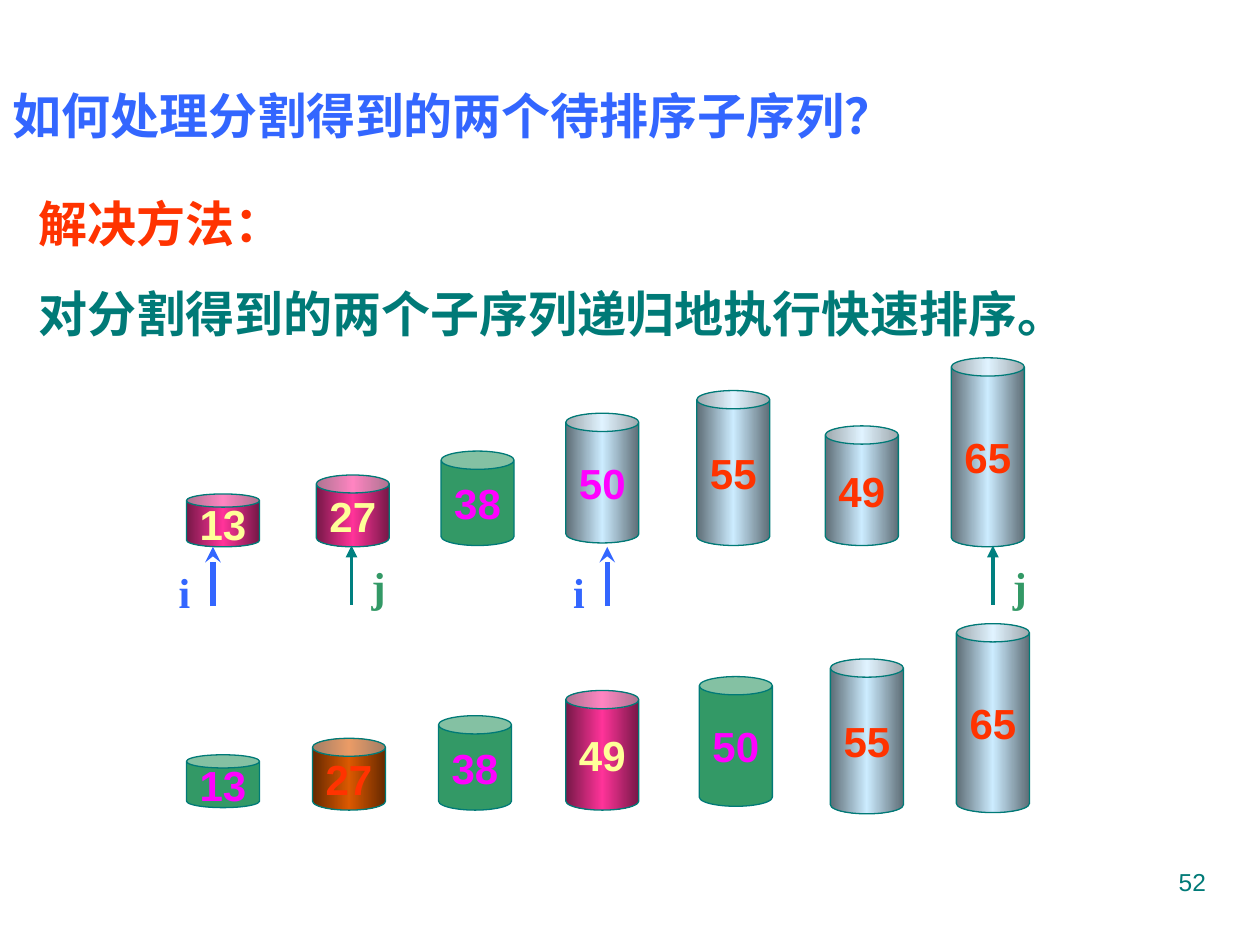
from copy import deepcopy

from pptx import Presentation
from pptx import util as u
from pptx.dml.color import RGBColor
from pptx.enum import shapes, text
from pptx.oxml.ns import qn

CJK = "Noto Sans CJK SC"
TEAL, BLUE, GREEN, RED, MAGENTA, CREAM = "007A77", "3366FF", "339966", "FF3300", "FF00FF", "FFFF99"
STEEL, PINK, ORANGE = ("5E6D76", "CCECFF"), ("761847", "FF3399"), ("662900", "DC5900")
CAN_WIDTH = 0.58
CAN_HEIGHTS = {13: 0.42, 27: 0.57, 38: 0.75, 49: 0.95, 50: 1.03, 55: 1.23, 65: 1.5}
PARTITIONED = [
    (13, 1.48, 3.92, PINK, CREAM),
    (27, 2.51, 3.77, PINK, CREAM),
    (38, 3.5, 3.58, GREEN, MAGENTA),
    (50, 4.49, 3.28, STEEL, MAGENTA),
    (55, 5.53, 3.1, STEEL, RED),
    (49, 6.55, 3.38, STEEL, RED),
    (65, 7.55, 2.84, STEEL, RED),
]
SORTED = [
    (13, 1.48, 5.99, GREEN, MAGENTA),
    (27, 2.48, 5.86, ORANGE, RED),
    (38, 3.48, 5.68, GREEN, MAGENTA),
    (49, 4.49, 5.48, PINK, CREAM),
    (50, 5.55, 5.37, GREEN, MAGENTA),
    (55, 6.59, 5.23, STEEL, RED),
    (65, 7.59, 4.95, STEEL, RED),
]


def color(value):
    """Turn a hex string into a colour."""
    return RGBColor.from_string(value)


def format_paragraph(paragraph, size, value, name="Arial", bold=True, align=text.PP_ALIGN.LEFT):
    """Format the runs of a paragraph, with exact line height for Chinese."""
    paragraph.alignment = align
    for run in paragraph.runs:
        run.font.size, run.font.bold, run.font.name = u.Pt(size), bold, name
        run.font.color.rgb = color(value)
        if name == CJK:
            paragraph.line_spacing = u.Pt(34)
            run.font._element.get_or_change_to_solidFill()
            east_asian = run.font._element.makeelement(qn("a:ea"), {"typeface": name})
            run.font._element.find(qn("a:latin")).addnext(east_asian)


def add_text(slide, left, top, width, height, lines):
    """Add a wrapping text box and return its paragraphs."""
    shape = slide.shapes.add_textbox(*map(u.Inches, (left, top, width, height)))
    shape.text_frame.word_wrap = True
    shape.text_frame.text = "\n".join(lines)
    return shape.text_frame.paragraphs


def place_title(slide, words):
    """Move, fill and format the title placeholder."""
    title = slide.shapes.title
    title.left, title.top, title.width, title.height = map(u.Inches, (0, 0.62, 9.61, 0.57))
    frame = title.text_frame
    frame.text = words
    frame.vertical_anchor = text.MSO_ANCHOR.TOP
    frame.auto_size = text.MSO_AUTO_SIZE.NONE
    format_paragraph(frame.paragraphs[0], 28, BLUE, CJK)


def fill_can(fill, style):
    """Fill with one colour, or with a dark edge and a light middle."""
    if isinstance(style, str):
        fill.solid()
        fill.fore_color.rgb = color(style)
        return
    fill.gradient()
    fill.gradient_angle = 0
    edge, middle = style
    stop_list = fill._xPr.find(qn("a:gradFill")).find(qn("a:gsLst"))
    stop_list.append(deepcopy(stop_list[0]))
    for stop, position, value in zip(fill.gradient_stops, (0, 0.5, 1), (edge, middle, edge)):
        stop.position = position
        stop.color.rgb = color(value)


def add_can(slide, number, left, top, style, text_color):
    """Add a can whose height depends on its number."""
    box = map(u.Inches, (left, top, CAN_WIDTH, CAN_HEIGHTS[number]))
    can = slide.shapes.add_shape(shapes.MSO_SHAPE.CAN, *box)
    can.shadow.inherit = False
    can.adjustments[0] = 0.25
    fill_can(can.fill, style)
    can.line.color.rgb = color(TEAL)
    can.line.width = u.Pt(0.75)
    frame = can.text_frame
    frame.word_wrap = False
    frame.vertical_anchor = text.MSO_ANCHOR.MIDDLE
    frame.text = str(number)
    format_paragraph(frame.paragraphs[0], 24, text_color, align=text.PP_ALIGN.CENTER)


def add_pointer(slide, name, x, bottom, line_color, width, head, label_left, label_top, label_color):
    """Add an upward arrow with its index name."""
    ends = map(u.Inches, (x, bottom, x, bottom - 0.47))
    arrow = slide.shapes.add_connector(shapes.MSO_CONNECTOR.STRAIGHT, *ends)
    arrow.line.color.rgb = color(line_color)
    arrow.line.width = u.Pt(width)
    line = arrow.line._get_or_add_ln()
    line.append(line.makeelement(qn("a:tailEnd"), {"type": head}))
    properties = arrow._element.spPr
    properties.append(properties.makeelement(qn("a:effectLst"), {}))
    label = add_text(slide, label_left, label_top, 0.25, 0.5, [name])[0]
    format_paragraph(label, 24, label_color, "Times New Roman")


def main():
    """Build the slide and save it."""
    presentation = Presentation()
    presentation.slide_width, presentation.slide_height = u.Inches(10), u.Inches(7.5)
    slide = presentation.slides.add_slide(presentation.slide_layouts[5])
    place_title(slide, "如何处理分割得到的两个待排序子序列？")
    lines = ["解决方法：", "对分割得到的两个子序列递归地执行快速排序。"]
    heading, answer = add_text(slide, 0.21, 1.48, 9.3, 1.28, lines)
    format_paragraph(heading, 28, RED, CJK)
    format_paragraph(answer, 28, TEAL, CJK)
    answer.space_before = u.Pt(17.5)
    for can in PARTITIONED + SORTED:
        add_can(slide, *can)
    for x in (1.69, 4.82):
        add_pointer(slide, "i", x, 4.81, BLUE, 3, "stealth", x - 0.37, 4.45, BLUE)
    for x in (2.79, 7.88):
        add_pointer(slide, "j", x, 4.8, "008080", 2.25, "triangle", x + 0.06, 4.4, GREEN)
    number = add_text(slide, 7.17, 6.83, 2.5, 0.52, ["52"])[0]
    format_paragraph(number, 14, TEAL, bold=False, align=text.PP_ALIGN.RIGHT)
    presentation.save("out.pptx")


if __name__ == "__main__":
    main()
